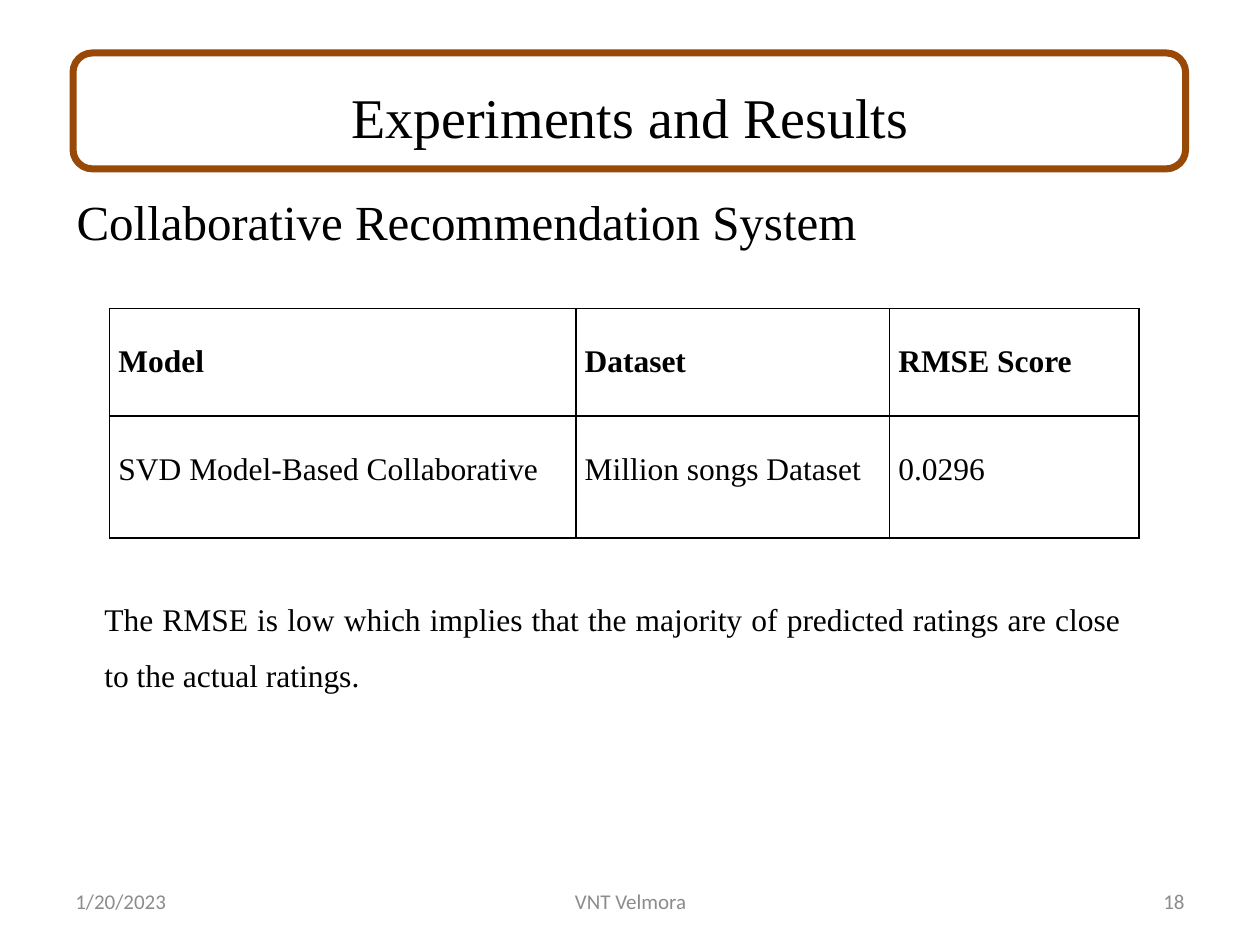
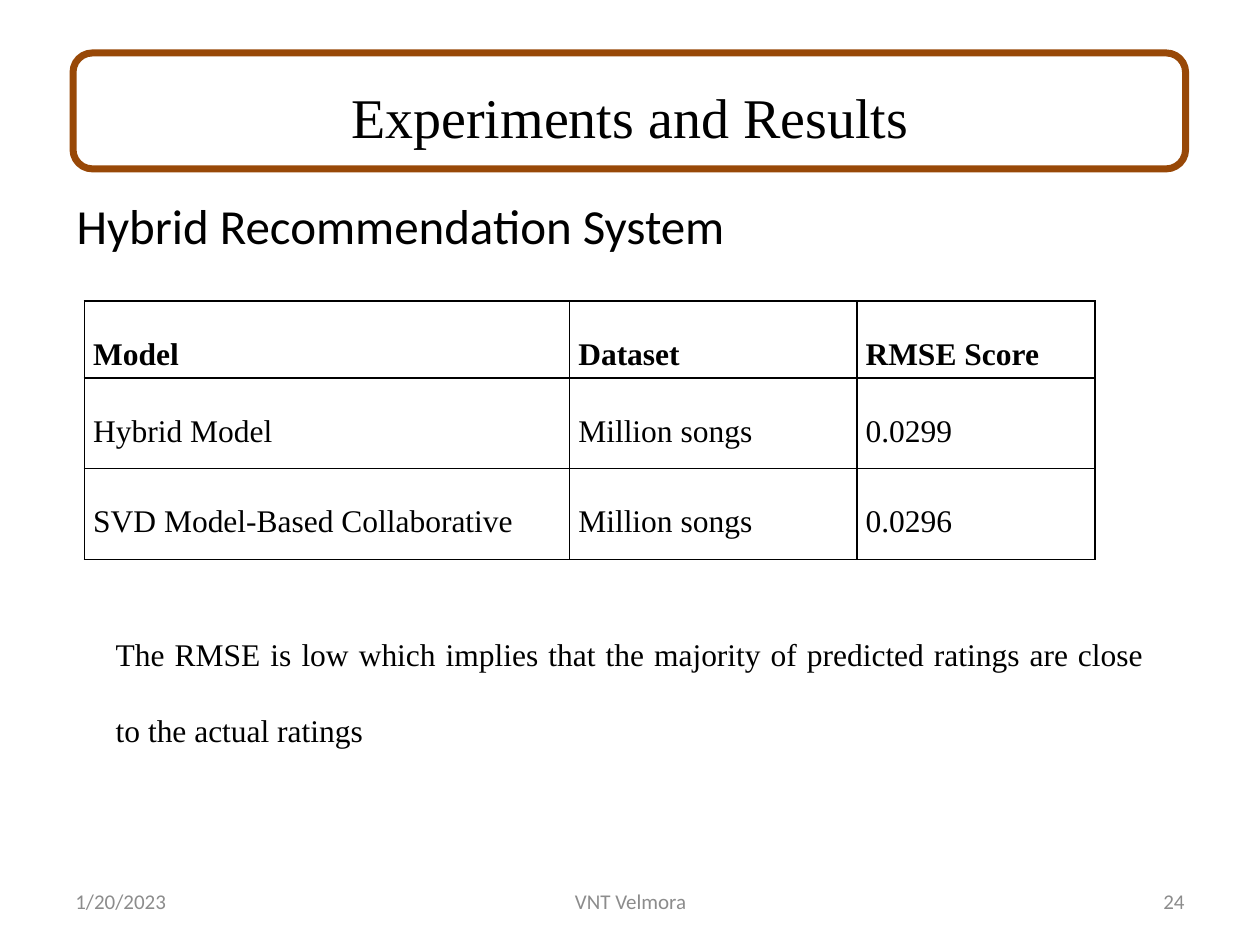
import pptx
import pptx.dml.color
import pptx.enum.shapes
import pptx.enum.text
import pptx.oxml
import pptx.oxml.ns
import pptx.util

Inches = pptx.util.Inches
Pt = pptx.util.Pt
RGBColor = pptx.dml.color.RGBColor
ALIGN = pptx.enum.text.PP_ALIGN
ANCHOR = pptx.enum.text.MSO_ANCHOR

BLACK = RGBColor(0x00, 0x00, 0x00)
WHITE = RGBColor(0xFF, 0xFF, 0xFF)
BROWN = RGBColor(0x98, 0x48, 0x07)
GREY = RGBColor(0x8C, 0x8C, 0x8C)
SERIF = "Times New Roman"
SANS = "Calibri"
HEADER = ("Model", "Dataset", "RMSE Score")


def style_font(paragraph, size, name=SERIF, color=BLACK, bold=False):
    """Set the font of a whole paragraph."""
    font = paragraph.font
    font.size = Pt(size)
    font.name = name
    font.color.rgb = color
    font.bold = bold


def add_text(slide, box, text, size, name=SERIF, color=BLACK,
             align=ALIGN.LEFT, anchor=ANCHOR.TOP):
    """Add a wrapped text box and return its paragraph."""
    frame = slide.shapes.add_textbox(*map(Inches, box)).text_frame
    frame.word_wrap = True
    frame.vertical_anchor = anchor
    paragraph = frame.paragraphs[0]
    paragraph.text = text
    paragraph.alignment = align
    style_font(paragraph, size, name, color)
    return paragraph


def add_title(slide, text):
    """Add the centred title inside its rounded brown outline."""
    add_text(slide, (0.5, 0.3, 9, 1.25), text, 32,
             align=ALIGN.CENTER, anchor=ANCHOR.MIDDLE)
    outline = slide.shapes.add_shape(
        pptx.enum.shapes.MSO_SHAPE.FLOWCHART_ALTERNATE_PROCESS,
        *map(Inches, (0.58, 0.42, 8.83, 0.92)))
    outline.shadow.inherit = False
    outline.fill.background()
    outline.line.color.rgb = BROWN
    outline.line.width = Pt(4)


def add_footer(slide, number):
    """Add the date, the institution and the slide number."""
    for left, width, text, align in (
            (0.5, 2.33, "1/20/2023", ALIGN.LEFT),
            (3.42, 3.17, "VNT Velmora", ALIGN.CENTER),
            (7.17, 2.33, str(number), ALIGN.RIGHT)):
        add_text(slide, (left, 6.95, width, 0.4), text, 12, SANS, GREY,
                 align, ANCHOR.MIDDLE)


def add_heading(slide, top, text, font_name):
    """Add the heading that names the recommendation system."""
    heading = add_text(slide, (0.51, top, 6.9, 0.49), text, 28, font_name)
    heading.space_before = Pt(5.6)


def add_borders(cell):
    """Draw a thin black line on each side of a cell."""
    properties = cell._tc.get_or_add_tcPr()
    for side in ("lnL", "lnR", "lnT", "lnB"):
        properties.append(pptx.oxml.parse_xml(
            f'<a:{side} {pptx.oxml.ns.nsdecls("a")} w="{Pt(1)}">'
            f'<a:solidFill><a:srgbClr val="{BLACK}"/></a:solidFill></a:{side}>'))


def fill_cell(cell, text, bold):
    """Write and style one table cell."""
    add_borders(cell)
    cell.fill.solid()
    cell.fill.fore_color.rgb = WHITE
    cell.margin_left = cell.margin_right = Inches(0.07)
    cell.margin_top = Inches(0.01)
    cell.margin_bottom = 0
    paragraph = cell.text_frame.paragraphs[0]
    paragraph.text = text
    paragraph.alignment = ALIGN.JUSTIFY
    paragraph.line_spacing = 2.0
    style_font(paragraph, 18, bold=bold)


def add_scores(slide, left, top, widths, heights, models):
    """Add the table of RMSE scores."""
    rows = [HEADER, *models]
    table = slide.shapes.add_table(
        len(rows), len(HEADER), Inches(left), Inches(top),
        Inches(sum(widths)), Inches(sum(heights))).table
    table.first_row = table.horz_banding = False
    for column, width in zip(table.columns, widths):
        column.width = Inches(width)
    for r, (height, values) in enumerate(zip(heights, rows)):
        table.rows[r].height = Inches(height)
        for c, value in enumerate(values):
            fill_cell(table.cell(r, c), value, bold=r == 0)


def add_conclusion(slide, box, text, spacing):
    """Add the justified remark below the table."""
    conclusion = add_text(slide, box, text, 18, align=ALIGN.JUSTIFY)
    conclusion.line_spacing = spacing
    conclusion.space_after = Pt(8)


def add_results_slide(deck, number):
    """Add a blank slide with the shared title and footer."""
    slide = deck.slides.add_slide(deck.slide_layouts[6])
    add_title(slide, "Experiments and Results")
    add_footer(slide, number)
    return slide


def main():
    """Build the two result slides."""
    deck = pptx.Presentation()
    deck.slide_width = Inches(10)
    deck.slide_height = Inches(7.5)
    remark = ("The RMSE is low which implies that the majority of predicted "
              "ratings are close to the actual ratings")

    collaborative = add_results_slide(deck, 18)
    add_heading(collaborative, 1.47, "Collaborative Recommendation System", SERIF)
    add_scores(collaborative, 0.87, 2.45, (3.7, 2.49, 1.98), (0.85, 0.97),
               [("SVD Model-Based Collaborative", "Million songs Dataset", "0.0296")])
    add_conclusion(collaborative, (0.73, 4.56, 8.27, 0.96), remark + ".", 1.5)

    hybrid = add_results_slide(deck, 24)
    add_heading(hybrid, 1.5, "Hybrid Recommendation System", SANS)
    add_scores(hybrid, 0.67, 2.39, (3.85, 2.28, 1.89), (0.54, 0.72, 0.72),
               [("Hybrid Model", "Million songs", "0.0299"),
                ("SVD Model-Based Collaborative", "Million songs", "0.0296")])
    add_conclusion(hybrid, (0.82, 4.69, 8.36, 1.23), remark, 2.0)

    deck.save("out.pptx")


if __name__ == "__main__":
    main()
